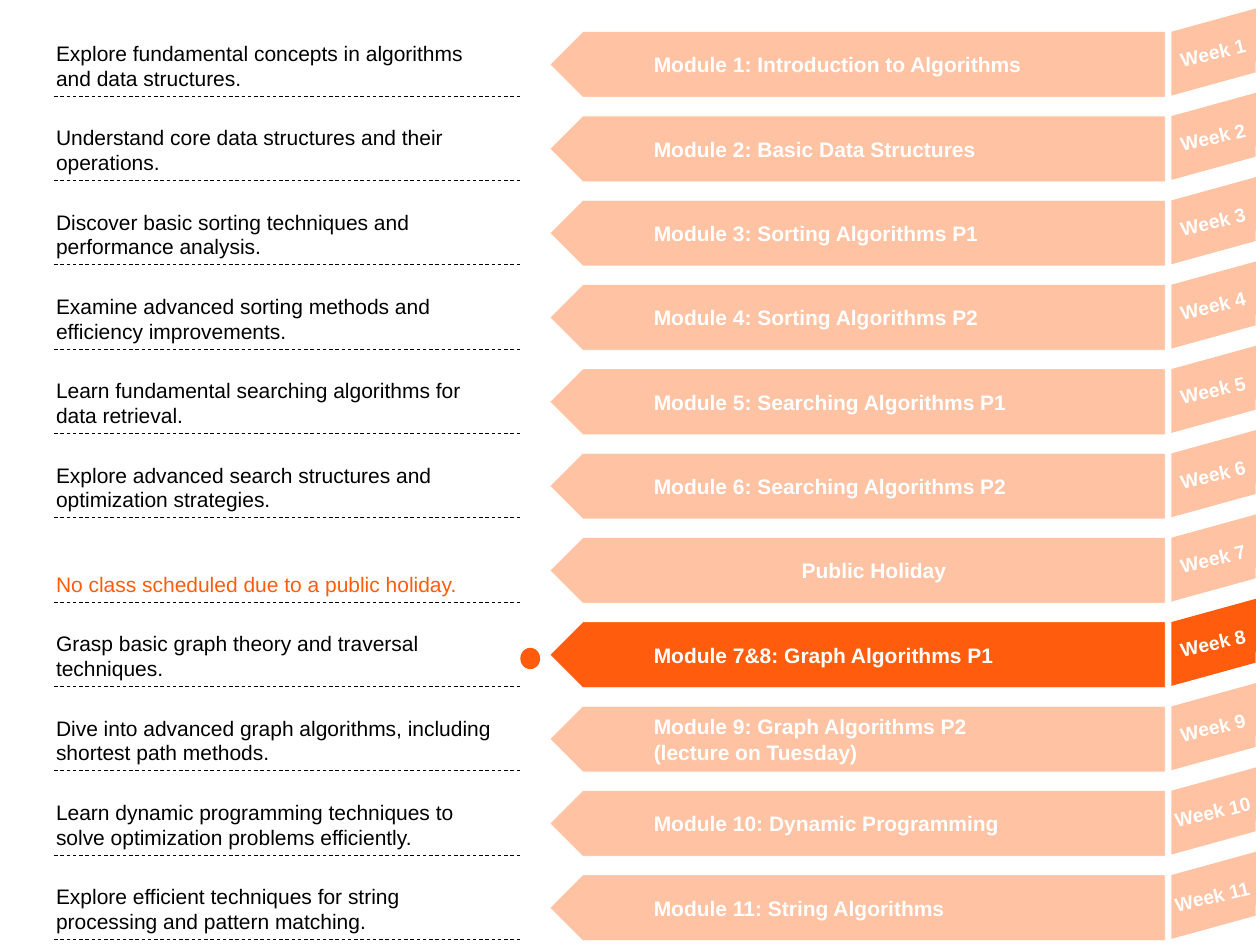
from lxml.etree import SubElement
from pptx import Presentation
from pptx.dml.color import RGBColor
from pptx.enum.dml import MSO_LINE as Dash
from pptx.enum.shapes import MSO_CONNECTOR as Link, MSO_SHAPE as Form
from pptx.enum.text import MSO_ANCHOR as Anchor, MSO_AUTO_SIZE as Fit, PP_ALIGN as Align
from pptx.oxml.ns import qn
from pptx.util import Cm, Pt

PEACH = RGBColor(0xFF, 0xC2, 0xA3)
ORANGE = RGBColor(0xFF, 0x5D, 0x0D)
WHITE = RGBColor(0xFF, 0xFF, 0xFF)
BLACK = RGBColor(0, 0, 0)

STEP = 1.7
BREAK, NOW = 7, 8
WEEKS = [
    ("Module 1: Introduction to Algorithms",
     "Explore fundamental concepts in algorithms and data structures."),
    ("Module 2: Basic Data Structures",
     "Understand core data structures and their operations."),
    ("Module 3: Sorting Algorithms P1",
     "Discover basic sorting techniques and performance analysis."),
    ("Module 4: Sorting Algorithms P2",
     "Examine advanced sorting methods and efficiency improvements."),
    ("Module 5: Searching Algorithms P1",
     "Learn fundamental searching algorithms for data retrieval."),
    ("Module 6: Searching Algorithms P2",
     "Explore advanced search structures and optimization strategies."),
    ("Public Holiday",
     "No class scheduled due to a public holiday."),
    ("Module 7&8: Graph Algorithms P1",
     "Grasp basic graph theory and traversal techniques."),
    ("Module 9: Graph Algorithms P2\n(lecture on Tuesday)",
     "Dive into advanced graph algorithms, including shortest path methods."),
    ("Module 10: Dynamic Programming",
     "Learn dynamic programming techniques to solve optimization problems efficiently."),
    ("Module 11: String Algorithms",
     "Explore efficient techniques for string processing and pattern matching."),
]


def write(frame, text, size, color, bold=False, align=Align.LEFT):
    """Fill a text frame with evenly styled paragraphs."""
    frame.text = text
    for para in frame.paragraphs:
        para.alignment = align
        font = para.font
        font.name, font.size, font.bold = "Arial", Pt(size), bold
        font.color.rgb = color


def add_form(slide, form, box, color):
    """Add a flat preset shape without an outline."""
    shape = slide.shapes.add_shape(form, *map(Cm, box))
    shape.shadow.inherit = False
    shape.fill.solid()
    shape.fill.fore_color.rgb = color
    shape.line.fill.background()
    return shape


def add_arrow(slide, top, title, color, rest):
    """Add the module arrow, with its title indented or centred."""
    arrow = add_form(slide, Form.LEFT_ARROW, (11.09, top, 12.4, 1.32), color)
    arrow.adjustments[0], arrow.adjustments[1] = 1, 0.5
    arrow.line.color.rgb = WHITE
    arrow.line.width = Pt(0.25)
    frame = arrow.text_frame
    frame.word_wrap = True
    frame.vertical_anchor = Anchor.MIDDLE
    if not rest:
        frame.margin_left = Cm(1.43)
    write(frame, title, 12, WHITE, True, Align.CENTER if rest else Align.LEFT)


def add_flag(slide, top, week, color):
    """Add the slanted week flag and its label."""
    flag = add_form(slide, Form.PARALLELOGRAM, (23.41, top, 2.11, 1.24), color)
    flag.adjustments[0] = 0.277
    flag.rotation = 344.6
    wide = 1.85 if week < 10 else 2.08
    label = slide.shapes.add_textbox(
        Cm(24.47 - wide / 2), Cm(top + 0.39), Cm(wide), Cm(0.56))
    label.rotation = 346.8
    frame = label.text_frame
    frame.word_wrap = False
    frame.auto_size = Fit.SHAPE_TO_FIT_TEXT
    frame.margin_top, frame.margin_bottom = 0, Cm(0.1)
    write(frame, f"Week {week}", 11, WHITE, True)


def add_note(slide, top, text, color):
    """Add a summary that rests on its rule."""
    note = slide.shapes.add_textbox(Cm(0.88), Cm(top), Cm(9.4), Cm(1.2))
    frame = note.text_frame
    frame.word_wrap = True
    frame.vertical_anchor = Anchor.BOTTOM
    write(frame, text, 12, color)
    frame.paragraphs[0].line_spacing = 0.97


def add_rule(slide, top):
    """Add a dashed rule under a summary."""
    rule = slide.shapes.add_connector(
        Link.STRAIGHT, Cm(1.09), Cm(top), Cm(10.49), Cm(top))
    rule.line.color.rgb = BLACK
    rule.line.width = Pt(0.5)
    rule.line.dash_style = Dash.DASH
    SubElement(rule._element.spPr, qn("a:effectLst"))


def main():
    """Build the weekly course plan."""
    deck = Presentation()
    deck.slide_width, deck.slide_height = Cm(25.4), Cm(19.05)
    slide = deck.slides.add_slide(deck.slide_layouts[6])
    for week, (title, text) in enumerate(WEEKS, 1):
        top = STEP * (week - 1)
        color = ORANGE if week == NOW else PEACH
        rest = week == BREAK
        add_arrow(slide, top + 0.64, title, color, rest)
        add_flag(slide, top + 0.43, week, color)
        add_note(slide, top + 0.76, text, ORANGE if rest else BLACK)
        add_rule(slide, top + 1.94)
    add_form(slide, Form.OVAL, (10.49, STEP * (NOW - 1) + 1.16, 0.4, 0.43), ORANGE)
    deck.save("out.pptx")


if __name__ == "__main__":
    main()
